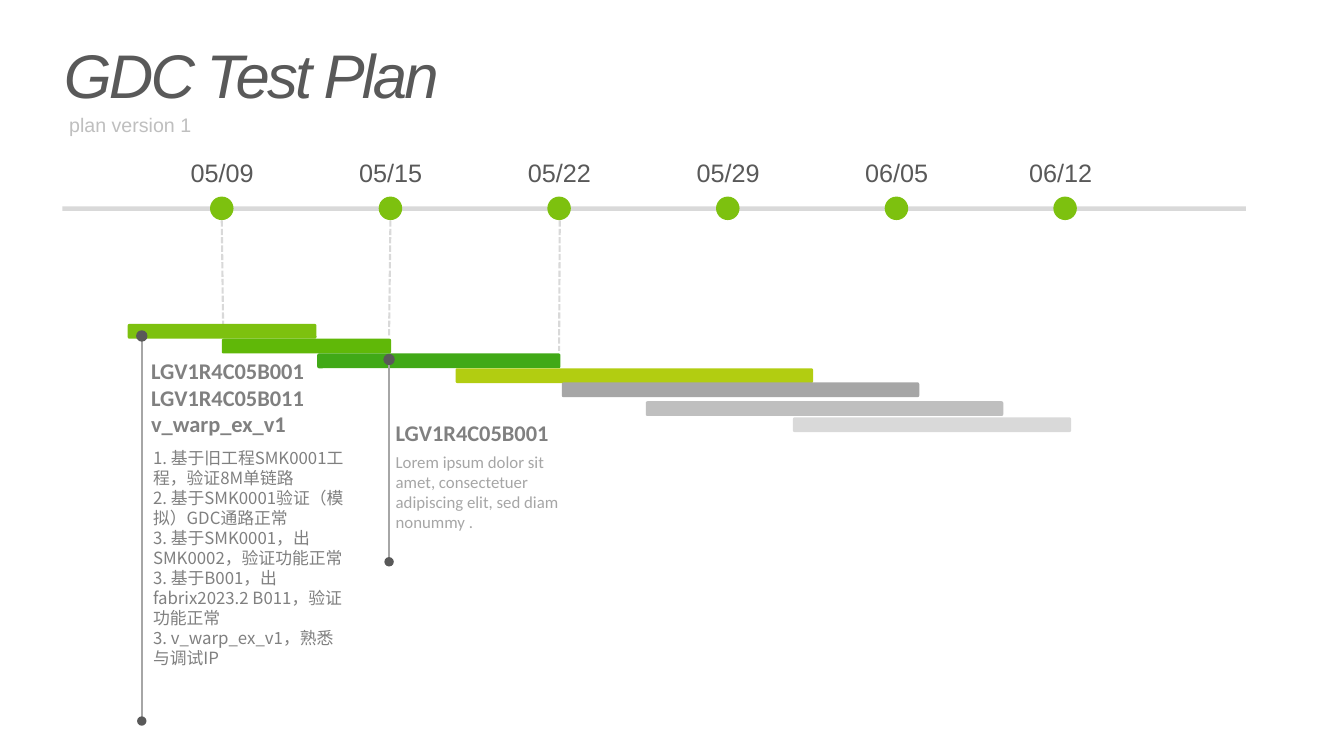
from lxml.etree import SubElement
from pptx import Presentation
from pptx.dml.color import RGBColor
from pptx.enum.dml import MSO_LINE
from pptx.enum.shapes import MSO_CONNECTOR, MSO_SHAPE
from pptx.enum.text import MSO_ANCHOR, MSO_AUTO_SIZE, PP_ALIGN
from pptx.oxml.ns import qn
from pptx.util import Inches, Pt

CHARCOAL = RGBColor(0x59, 0x59, 0x59)
GRAY = RGBColor(0x80, 0x80, 0x80)
MID_GRAY = RGBColor(0xA6, 0xA6, 0xA6)
SILVER = RGBColor(0xBF, 0xBF, 0xBF)
PALE_GRAY = RGBColor(0xD9, 0xD9, 0xD9)
LIME = RGBColor(0x7D, 0xC1, 0x0F)
LEAF = RGBColor(0x60, 0xB8, 0x08)
GREEN = RGBColor(0x41, 0xA9, 0x17)
OLIVE = RGBColor(0xB2, 0xCD, 0x11)

FIRST_DATE_X = 3.3
DATE_STEP = 2.51
AXIS_Y = 3.1
DATES = ["05/09", "05/15", "05/22", "05/29", "06/05", "06/12"]
LABEL_NUDGES = {"06/12": -0.07}
DROP_LINES = [(3.3, 3.32, 4.82), (5.81, 5.79, 4.99), (8.33, 8.32, 5.22)]
PHASES = [
    (1.9, 4.82, 2.81, LIME),
    (3.3, 5.04, 2.52, LEAF),
    (4.72, 5.26, 3.62, GREEN),
    (6.78, 5.48, 5.32, OLIVE),
    (8.36, 5.69, 5.32, MID_GRAY),
    (9.61, 5.97, 5.32, SILVER),
    (11.8, 6.21, 4.14, PALE_GRAY),
]
BUILDS = ["LGV1R4C05B001", "LGV1R4C05B011", "v_warp_ex_v1"]
TASKS = [
    "1. 基于旧工程SMK0001工程，验证8M单链路",
    "2. 基于SMK0001验证（模拟）GDC通路正常",
    "3. 基于SMK0001，出SMK0002，验证功能正常",
    "3. 基于B001，出fabrix2023.2 B011，验证功能正常",
    "3. v_warp_ex_v1，熟悉与调试IP",
]
FILLER = ["Lorem ipsum dolor sit amet, consectetuer adipiscing elit, sed diam nonummy ."]


def format_text(frame, size, color, font="Calibri", bold=False, italic=False,
                align=PP_ALIGN.LEFT, spacing=None):
    """Apply one look to every paragraph and run of a text frame."""
    for paragraph in frame.paragraphs:
        paragraph.alignment = align
        paragraph.space_before = Pt(0)
        if spacing:
            paragraph.line_spacing = spacing
        for run in paragraph.runs:
            run.font.name = font
            run.font.size = Pt(size)
            run.font.bold = bold
            run.font.italic = italic
            run.font.color.rgb = color
            east_asian = SubElement(run.font._element, qn("a:ea"))
            east_asian.set("typeface", font)


def fill_heading(heading, text, left, top, width, height, **look):
    """Place a placeholder and give it its wording and look."""
    heading.left, heading.top = Inches(left), Inches(top)
    heading.width, heading.height = Inches(width), Inches(height)
    frame = heading.text_frame
    frame.text = text
    frame.auto_size = MSO_AUTO_SIZE.NONE
    frame.vertical_anchor = MSO_ANCHOR.MIDDLE
    format_text(frame, font="Arial", spacing=0.9, **look)


def add_note(shapes, lines, left, top, width, height, **look):
    """Add a wrapping text box with one paragraph per line."""
    note = shapes.add_textbox(Inches(left), Inches(top), Inches(width), Inches(height))
    frame = note.text_frame
    frame.word_wrap = True
    frame.text = "\n".join(lines)
    format_text(frame, **look)


def add_block(shapes, kind, left, top, width, height, color):
    """Add a flat filled shape without outline."""
    block = shapes.add_shape(kind, Inches(left), Inches(top), Inches(width), Inches(height))
    block.shadow.inherit = False
    block.fill.solid()
    block.fill.fore_color.rgb = color
    block.line.fill.background()
    return block


def add_dot(shapes, x, y, diameter, color):
    """Add a round marker centred on a point."""
    radius = diameter / 2
    add_block(shapes, MSO_SHAPE.OVAL, x - radius, y - radius, diameter, diameter, color)


def add_rule(shapes, start, end, color, dash=None):
    """Add a thin straight line between two points."""
    rule = shapes.add_connector(MSO_CONNECTOR.STRAIGHT, *map(Inches, start + end))
    rule.line.color.rgb = color
    rule.line.width = Pt(2.25)
    if dash:
        rule.line.dash_style = dash
    SubElement(rule._element.spPr, qn("a:effectLst"))


def add_axis(shapes):
    """Add the time axis with one marker per date."""
    axis = shapes.add_group_shape().shapes
    add_block(axis, MSO_SHAPE.RECTANGLE, 0.93, 3.07, 17.61, 0.07, PALE_GRAY)
    for index in range(len(DATES)):
        add_dot(axis, FIRST_DATE_X + index * DATE_STEP, AXIS_Y, 0.35, LIME)


def add_date_labels(shapes):
    """Write each date above its marker."""
    for index, date in enumerate(DATES):
        center = FIRST_DATE_X + index * DATE_STEP + LABEL_NUDGES.get(date, 0)
        add_note(shapes, [date], center - 0.96, 2.29, 1.93, 0.55,
                 size=27, color=CHARCOAL, font="Arial", align=PP_ALIGN.CENTER)


def add_phase(shapes, left, top, width, color):
    """Add one bar of the schedule."""
    phase = add_block(shapes, MSO_SHAPE.ROUNDED_RECTANGLE, left, top, width, 0.22, color)
    phase.adjustments[0] = 0.12


def add_pin(shapes, x, top, bottom):
    """Add a vertical pin with a large head and a small foot."""
    pin = shapes.add_group_shape().shapes
    add_rule(pin, (x, bottom), (x, top), MID_GRAY)
    add_dot(pin, x, top, 0.17, CHARCOAL)
    add_dot(shapes, x, bottom, 0.14, CHARCOAL)


def main():
    """Build the test plan slide."""
    deck = Presentation()
    deck.slide_width, deck.slide_height = Inches(20), Inches(11.25)
    slide = deck.slides.add_slide(deck.slide_layouts[0])
    shapes = slide.shapes
    title, version = slide.placeholders
    fill_heading(title, "GDC Test Plan", 0.85, 0.64, 10.86, 1.05,
                 size=66, color=CHARCOAL, italic=True)
    title.text_frame.paragraphs[0].runs[0].font._element.set("spc", "-300")
    fill_heading(version, "plan version 1", 0.93, 1.69, 6.91, 0.38, size=21, color=SILVER)

    for start_x, end_x, end_y in DROP_LINES:
        add_rule(shapes, (start_x, 3.28), (end_x, end_y), PALE_GRAY, MSO_LINE.SQUARE_DOT)
    add_axis(shapes)
    for phase in PHASES:
        add_phase(shapes, *phase)
    add_date_labels(shapes)

    add_note(shapes, TASKS, 2.18, 6.61, 3.03, 3.43, size=18, color=GRAY,
             font="Noto Sans CJK KR", spacing=Pt(21.5))
    add_note(shapes, BUILDS, 2.15, 5.26, 2.56, 1.31, size=24, color=GRAY, bold=True)
    add_pin(shapes, 2.11, 5, 10.73)
    add_note(shapes, FILLER, 5.79, 6.67, 3.03, 1.31, size=18, color=MID_GRAY)
    add_note(shapes, BUILDS[:1], 5.79, 6.19, 2.56, 0.5, size=24, color=GRAY, bold=True)
    add_pin(shapes, 5.79, 5.35, 8.36)
    deck.save("out.pptx")


if __name__ == "__main__":
    main()
